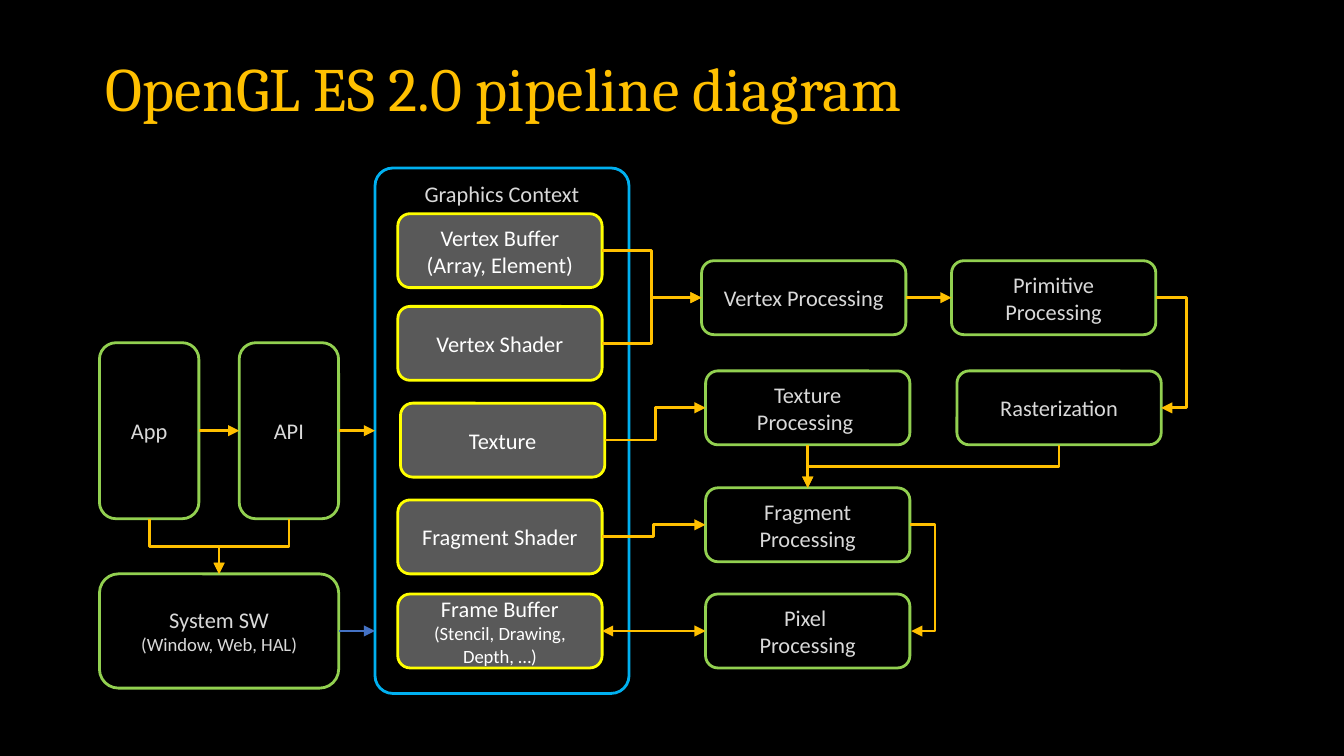
from lxml import etree
from pptx import Presentation
from pptx.dml.color import RGBColor
from pptx.enum.shapes import MSO_CONNECTOR, MSO_SHAPE
from pptx.enum.text import MSO_ANCHOR, PP_ALIGN
from pptx.oxml.ns import qn
from pptx.util import Inches, Pt

ROUNDED = MSO_SHAPE.ROUNDED_RECTANGLE
STRAIGHT, ELBOW = MSO_CONNECTOR.STRAIGHT, MSO_CONNECTOR.ELBOW
CENTER = PP_ALIGN.CENTER
TOP_ANCHOR, MIDDLE_ANCHOR = MSO_ANCHOR.TOP, MSO_ANCHOR.MIDDLE
TOP, LEFT, BOTTOM, RIGHT = range(4)

BLACK, GRAY, WHITE, SILVER = "000000", "595959", "FFFFFF", "D9D9D9"
AMBER, GREEN, YELLOW, SKY, BLUE = "FFC000", "92D050", "FFFF00", "00B0F0", "4472C4"

NODE_WIDTH, NODE_HEIGHT = 1.52, 0.55
HOST_WIDTH, HOST_HEIGHT = 0.74, 1.31
APP_COLUMN, API_COLUMN, BUFFER_COLUMN = 0.74, 1.78, 2.96
STAGE_COLUMN, RASTER_COLUMN = 5.25, 7.12
HOST_ROW, SYSTEM_ROW = 2.55, 4.27
VERTEX_ROW, TEXTURE_ROW, FRAGMENT_ROW, PIXEL_ROW = 1.94, 2.76, 3.63, 4.42

BUFFERS = {
    "vertex buffer": (0, 1.59, [("Vertex Buffer\n(Array, Element)", 12)]),
    "vertex shader": (0, 2.28, [("Vertex Shader", 12)]),
    "texture": (0.02, 3, [("Texture", 12)]),
    "fragment shader": (0, 3.72, [("Fragment Shader", 12)]),
    "frame buffer": (0, PIXEL_ROW, [("Frame Buffer", 12), ("(Stencil, Drawing, Depth, …)", 10)]),
}
STAGES = {
    "vertex": (STAGE_COLUMN - 0.03, VERTEX_ROW, ["Vertex Processing"]),
    "primitive": (RASTER_COLUMN - 0.04, VERTEX_ROW, ["Primitive Processing"]),
    "texturing": (STAGE_COLUMN, TEXTURE_ROW, ["Texture", "Processing "]),
    "raster": (RASTER_COLUMN, TEXTURE_ROW, ["Rasterization"]),
    "fragment": (STAGE_COLUMN, FRAGMENT_ROW, ["Fragment Processing"]),
    "pixel": (STAGE_COLUMN, PIXEL_ROW, ["Pixel ", "Processing"]),
}
STRAIGHT_LINKS = [
    ("app", RIGHT, "api", LEFT),
    ("api", RIGHT, "context", LEFT),
    ("vertex", RIGHT, "primitive", LEFT),
    ("texturing", BOTTOM, "fragment", TOP),
]
SIDE_LINKS = [
    ("vertex buffer", "vertex"),
    ("vertex shader", "vertex"),
    ("texture", "texturing"),
    ("fragment shader", "fragment"),
]
DOWN_LINKS = [("app", "system"), ("api", "system"), ("raster", "fragment")]
RETURN_LINKS = [("primitive", "raster", 8.83), ("fragment", "pixel", 6.96)]


def color(value):
    return RGBColor.from_string(value)


def add_run(paragraph, text, size, text_color, font="Calibri"):
    run = paragraph.add_run()
    run.text = text
    run.font.name = font
    run.font.size = Pt(size)
    run.font.color.rgb = color(text_color)


def add_title(slide, text):
    shape = slide.shapes.add_textbox(Inches(0.69), Inches(0.3), Inches(8.62), Inches(0.76))
    frame = shape.text_frame
    frame.word_wrap = True
    frame.vertical_anchor = MIDDLE_ANCHOR
    paragraph = frame.paragraphs[0]
    paragraph.line_spacing = 0.9
    add_run(paragraph, text, 33, AMBER, "Cambria")


def add_box(slide, area, lines, fill=BLACK, outline=GREEN, text_color=SILVER, anchor=MIDDLE_ANCHOR):
    shape = slide.shapes.add_shape(ROUNDED, *map(Inches, area))
    shape.shadow.inherit = False
    shape.fill.solid()
    shape.fill.fore_color.rgb = color(fill)
    shape.line.color.rgb = color(outline)
    shape.line.width = Pt(1.5)
    frame = shape.text_frame
    frame.word_wrap = True
    frame.vertical_anchor = anchor
    for index, (text, size) in enumerate(lines):
        paragraph = frame.add_paragraph() if index else frame.paragraphs[0]
        paragraph.alignment = CENTER
        for part, words in enumerate(text.split("\n")):
            if part:
                paragraph.add_line_break()
            add_run(paragraph, words, size, text_color)
    return shape


def side_point(shape, side):
    across, down = {TOP: (0.5, 0), LEFT: (0, 0.5), BOTTOM: (0.5, 1), RIGHT: (1, 0.5)}[side]
    return int(shape.left + across * shape.width), int(shape.top + down * shape.height)


def add_arrow(slide, kind, start, end, line_color=AMBER, both_ends=False):
    connector = slide.shapes.add_connector(kind, *map(int, (*start, *end)))
    connector.line.color.rgb = color(line_color)
    connector.line.width = Pt(1.5)
    line = connector.line._get_or_add_ln()
    for tag in ("a:headEnd", "a:tailEnd") if both_ends else ("a:tailEnd",):
        etree.SubElement(line, qn(tag), type="triangle")
    etree.SubElement(connector._element.spPr, qn("a:effectLst"))
    return connector


def add_straight_link(slide, source, source_side, target, target_side, both_ends=False):
    start, end = side_point(source, source_side), side_point(target, target_side)
    connector = add_arrow(slide, STRAIGHT, start, end, both_ends=both_ends)
    connector.begin_connect(source, source_side)
    connector.end_connect(target, target_side)


def add_down_link(slide, source, target):
    start_x, start_y = side_point(source, BOTTOM)
    end_x, end_y = side_point(target, TOP)
    middle_x, middle_y = (start_x + end_x) / 2, (start_y + end_y) / 2
    half_run, half_drop = (end_x - start_x) / 2, (end_y - start_y) / 2
    start = middle_x - half_drop, middle_y + half_run
    end = middle_x + half_drop, middle_y - half_run
    connector = add_arrow(slide, ELBOW, start, end)
    connector._element.spPr.find(qn("a:xfrm")).set("rot", str(90 * 60000))


def add_return_link(slide, source, target, lane):
    start, end = side_point(source, RIGHT), side_point(target, RIGHT)
    end = max(end[0], start[0] + Inches(0.01)), end[1]
    connector = add_arrow(slide, ELBOW, start, end)
    share = (Inches(lane) - start[0]) / (end[0] - start[0])
    guides = connector._element.spPr.find(qn("a:prstGeom")).find(qn("a:avLst"))
    etree.SubElement(guides, qn("a:gd"), name="adj1", fmla=f"val {round(share * 100000)}")


def add_boxes(slide):
    boxes = {}
    for name, label, column in (("app", "App", APP_COLUMN), ("api", "API", API_COLUMN)):
        area = (column, HOST_ROW, HOST_WIDTH, HOST_HEIGHT)
        boxes[name] = add_box(slide, area, [(label, 12)])
    system_width = API_COLUMN + HOST_WIDTH - APP_COLUMN
    boxes["system"] = add_box(slide, (APP_COLUMN, SYSTEM_ROW, system_width, 0.85),
                              [("System SW", 12), ("(Window, Web, HAL)", 10)])
    boxes["context"] = add_box(slide, (2.79, 1.25, 1.89, 3.91), [("Graphics Context", 12)],
                               outline=SKY, anchor=TOP_ANCHOR)
    boxes["context"].adjustments[0] = 0.07
    for name, (shift, row, lines) in BUFFERS.items():
        area = (BUFFER_COLUMN + shift, row, NODE_WIDTH, NODE_HEIGHT)
        boxes[name] = add_box(slide, area, lines, GRAY, YELLOW, WHITE)
    for name, (column, row, labels) in STAGES.items():
        area = (column, row, NODE_WIDTH, NODE_HEIGHT)
        boxes[name] = add_box(slide, area, [(label, 12) for label in labels])
    return boxes


def add_links(slide, boxes):
    for source, source_side, target, target_side in STRAIGHT_LINKS:
        add_straight_link(slide, boxes[source], source_side, boxes[target], target_side)
    add_straight_link(slide, boxes["pixel"], LEFT, boxes["frame buffer"], RIGHT, both_ends=True)
    for source, target in SIDE_LINKS:
        add_arrow(slide, ELBOW, side_point(boxes[source], RIGHT), side_point(boxes[target], LEFT))
    for source, target in DOWN_LINKS:
        add_down_link(slide, boxes[source], boxes[target])
    for source, target, lane in RETURN_LINKS:
        add_return_link(slide, boxes[source], boxes[target], lane)
    start = side_point(boxes["system"], RIGHT)
    connector = add_arrow(slide, STRAIGHT, start, (boxes["context"].left, start[1]), BLUE)
    connector.begin_connect(boxes["system"], RIGHT)


def main():
    presentation = Presentation()
    presentation.slide_width = Inches(10)
    presentation.slide_height = presentation.slide_width * 9 // 16
    slide = presentation.slides.add_slide(presentation.slide_layouts[6])
    slide.background.fill.solid()
    slide.background.fill.fore_color.rgb = color(BLACK)
    add_title(slide, "OpenGL ES 2.0 pipeline diagram")
    add_links(slide, add_boxes(slide))
    presentation.save("out.pptx")


if __name__ == "__main__":
    main()
